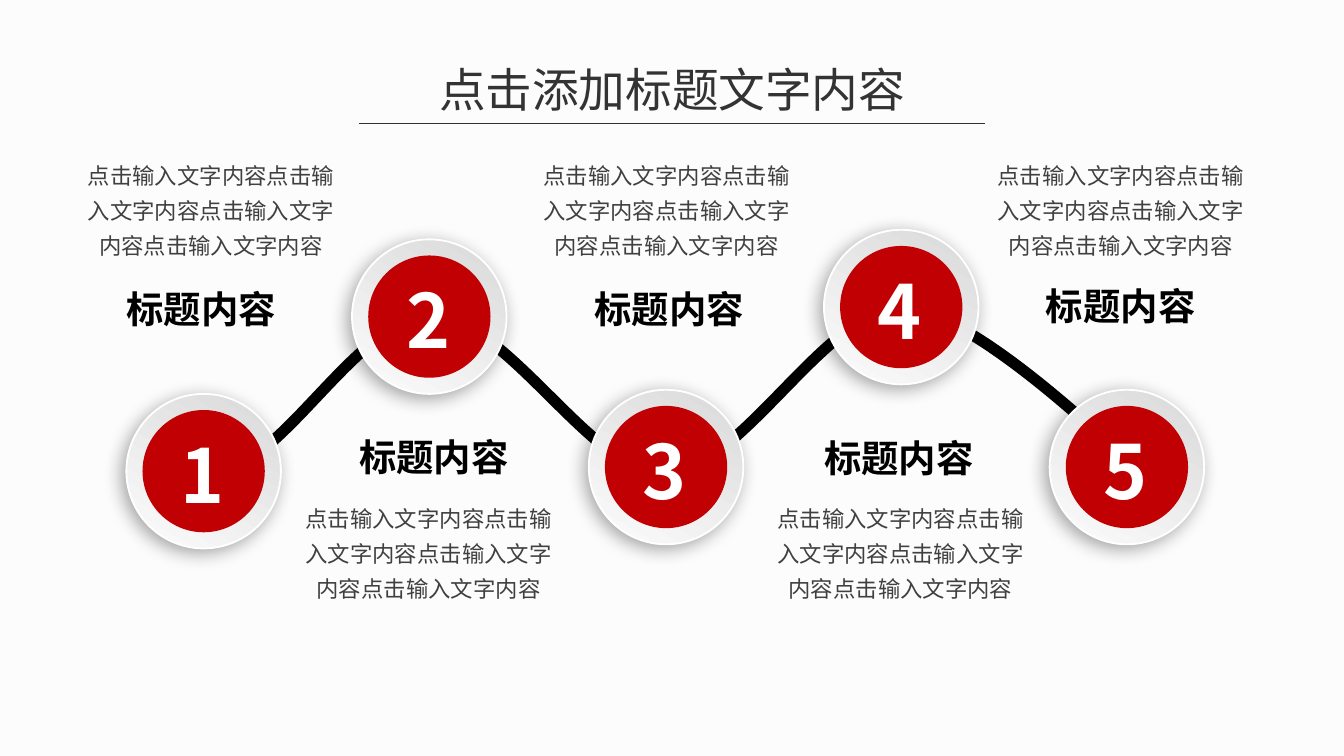
"""Build a slide with five numbered nodes along a wave, each with a caption and a body text."""
from lxml.etree import SubElement
from pptx import Presentation
from pptx.dml.color import RGBColor as RGB
from pptx.enum.shapes import MSO_CONNECTOR as CONN, MSO_SHAPE as SHAPE
from pptx.enum.text import PP_ALIGN as ALIGN
from pptx.oxml.ns import qn
from pptx.util import Pt

FONT = "Noto Sans CJK SC"
COLORS = {"bg": "FCFCFC", "title": "333333", "body": "404040", "black": "000000",
          "white": "FFFFFF", "red": "C00002", "grey": "D9D9D9"}
RING, DISC = 82.8, 65.5
TITLE, CAPTION = "点击添加标题文字内容", "标题内容"
BODY = "点击输入文字内容" * 4
NODES = [(109.1, 252.4), (230, 169.6), (356.8, 250.2), (482.8, 164.5), (603.7, 250.2)]
CAPTIONS = [(37.4, 149.8), (162, 229), (288, 149.8), (411.1, 229.7), (529.9, 148.3)]
BODIES = [(39.6, 79.2), (156.2, 262.8), (283.7, 79.2), (409, 262.8), (527, 79.2)]
WAVE = [(112.3, 253.4),
        (149.8, 254.2), (190.8, 169.2), (231.1, 169.2),
        (271.4, 169.9), (316.8, 253.4), (355.7, 254.2),
        (396.7, 252.7), (442.1, 165.6), (482.4, 164.9),
        (521.3, 164.2), (605.5, 249.1), (605.5, 247.7)]


def color(name):
    return RGB.from_string(COLORS[name])


def add_text(shapes, text, x, y, w, h, size, tint, bold=False, spacing=None, wrap=True):
    """Add a centred single-paragraph text box."""
    tf = shapes.add_textbox(Pt(x), Pt(y), Pt(w), Pt(h)).text_frame
    tf.word_wrap = wrap
    p = tf.paragraphs[0]
    p.text = text
    p.alignment = ALIGN.CENTER
    p.line_spacing = spacing
    r = p.runs[0]
    r.font.size, r.font.bold, r.font.name = Pt(size), bold, FONT
    r.font.color.rgb = color(tint)
    SubElement(r.font._element, qn("a:ea"), typeface=FONT)


def add_rule(shapes, x1, x2, y):
    """Add the line under the title."""
    line = shapes.add_connector(CONN.STRAIGHT, Pt(x1), Pt(y), Pt(x2), Pt(y))
    line.line.color.rgb = color("title")
    line.line.width = Pt(0.75)
    SubElement(line._element.spPr, qn("a:effectLst"))


def add_curve(shapes, points):
    """Add an open curve from a start point and triples of Bezier points."""
    start, *rest = [(Pt(x), Pt(y)) for x, y in points]
    builder = shapes.build_freeform(*start)
    builder.add_line_segments(rest, close=False)
    sp = builder.convert_to_shape()
    sp.shadow.inherit = False
    sp.fill.background()
    sp.line.color.rgb = color("black")
    sp.line.width = Pt(6)
    outline = sp._element.find(".//" + qn("a:path"))
    steps = outline.findall(qn("a:lnTo"))
    for i in range(0, len(steps), 3):
        bezier = SubElement(outline, qn("a:cubicBezTo"))
        for step in steps[i:i + 3]:
            bezier.append(step[0])
            outline.remove(step)


def add_circle(shapes, cx, cy, size):
    """Add a circle without shadow around a centre."""
    sp = shapes.add_shape(SHAPE.OVAL, Pt(cx - size / 2), Pt(cy - size / 2), Pt(size), Pt(size))
    sp.shadow.inherit = False
    return sp


def add_shadow(sp):
    """Give a shape a soft outer shadow."""
    effects = sp._element.spPr.find(qn("a:effectLst"))
    shadow = SubElement(effects, qn("a:outerShdw"), blurRad=str(Pt(10)), dist=str(Pt(3)),
                        dir=str(136 * 60000), algn="ctr", rotWithShape="0")
    tint = SubElement(shadow, qn("a:srgbClr"), val=COLORS["black"])
    SubElement(tint, qn("a:alpha"), val="34000")


def add_node(shapes, number, cx, cy):
    """Add a grouped ring, disc and number."""
    group = shapes.add_group_shape().shapes
    ring = add_circle(group, cx, cy, RING)
    ring.fill.gradient()
    ring.fill.gradient_angle = 240
    for stop, name, position in zip(ring.fill.gradient_stops, ("grey", "bg"), (0, 1)):
        stop.color.rgb = color(name)
        stop.position = position
    ring.line.color.rgb = color("white")
    ring.line.width = Pt(1)
    add_shadow(ring)
    disc = add_circle(group, cx, cy, DISC)
    disc.fill.solid()
    disc.fill.fore_color.rgb = color("red")
    disc.line.fill.background()
    add_text(group, str(number), cx - 20.5, cy - 26.3, 39.6, 55.4, 40, "white",
             bold=True, wrap=False)


def main():
    prs = Presentation()
    prs.slide_width, prs.slide_height = Pt(720), Pt(405)
    s = prs.slides.add_slide(prs.slide_layouts[6])
    s.background.fill.solid()
    s.background.fill.fore_color.rgb = color("bg")
    shapes = s.shapes
    add_text(shapes, TITLE, 226.8, 28.8, 266.4, 37.4, 25, "title")
    add_rule(shapes, 192.2, 527.8, 66.2)
    add_curve(shapes, WAVE)
    for number, (cx, cy) in enumerate(NODES, 1):
        add_node(shapes, number, cx, cy)
    for x, y in CAPTIONS:
        add_text(shapes, CAPTION, x, y, 141.1, 31.7, 20, "black", bold=True)
    for x, y in BODIES:
        add_text(shapes, BODY, x, y, 146.9, 64.1, 12, "body", spacing=1.3)
    prs.save("out.pptx")


if __name__ == "__main__":
    main()
